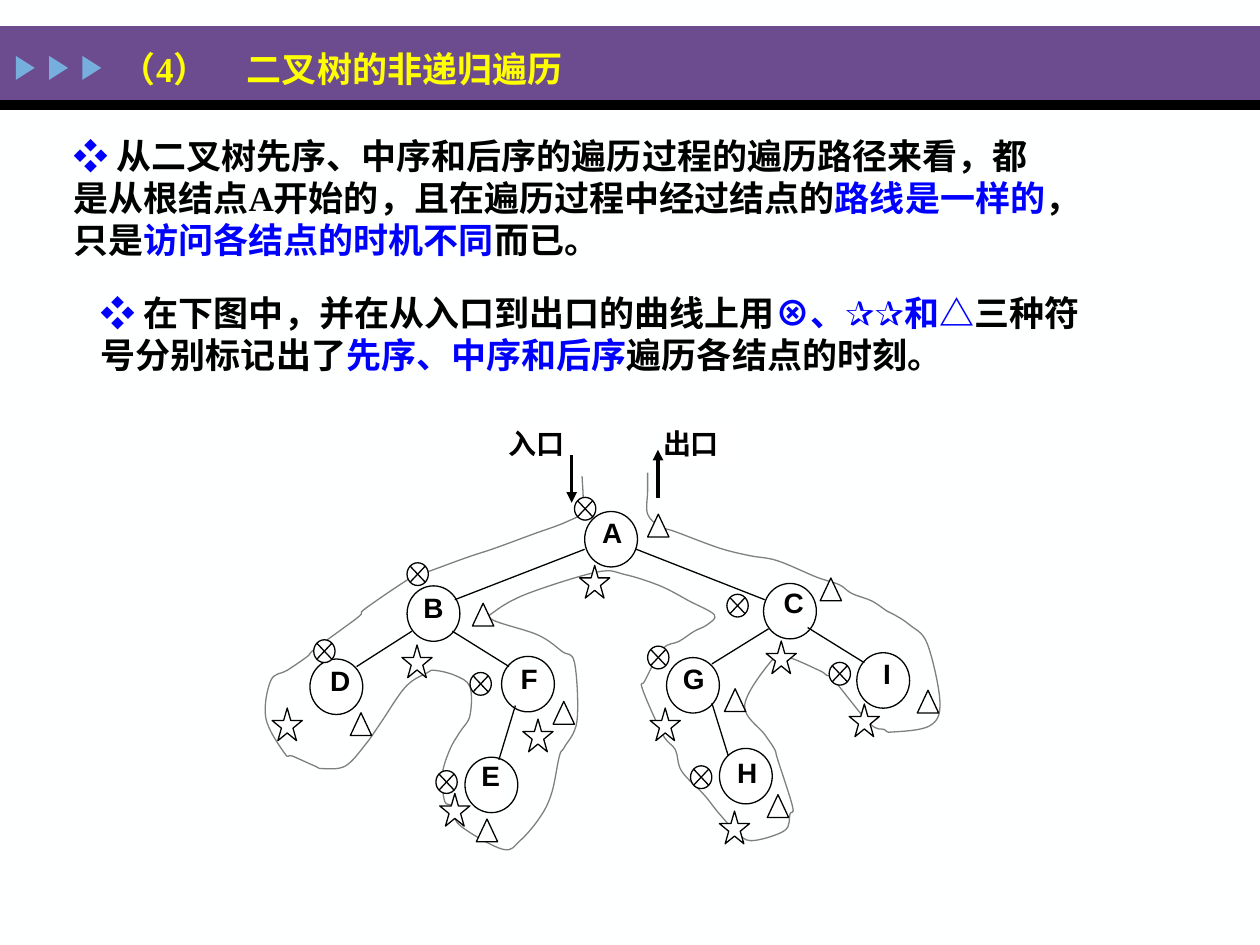
from lxml import etree
from pptx import Presentation
from pptx.dml.color import RGBColor
from pptx.enum.shapes import MSO_CONNECTOR, MSO_SHAPE
from pptx.enum.text import MSO_ANCHOR, MSO_AUTO_SIZE, PP_ALIGN
from pptx.oxml.ns import qn
from pptx.util import Pt

RECTANGLE = MSO_SHAPE.RECTANGLE
OVAL = MSO_SHAPE.OVAL
TRIANGLE = MSO_SHAPE.ISOSCELES_TRIANGLE
STAR = MSO_SHAPE.STAR_5_POINT
CROSSED_CIRCLE = MSO_SHAPE.FLOWCHART_SUMMING_JUNCTION
STRAIGHT = MSO_CONNECTOR.STRAIGHT
LEFT, CENTER, JUSTIFY = PP_ALIGN.LEFT, PP_ALIGN.CENTER, PP_ALIGN.JUSTIFY
TOP, MIDDLE = MSO_ANCHOR.TOP, MSO_ANCHOR.MIDDLE

SERIF, SANS, CHINESE = "Times New Roman", "Arial", "Noto Sans CJK SC"
COLORS = {
    "background": "FEFFFF", "band": "6C4C8F", "black": "000000", "chevron": "76AEDD",
    "title": "FFFF00", "accent": "0000FF", "white": "FFFFFF", "trace": "7F7F7F",
}

PATH_RUNS = [
    ("❖ ", "accent"),
    ("从二叉树先序、中序和后序的遍历过程的遍历路径来看，都是从根结点A开始的，且在遍历过程中经过结点的", "black"),
    ("路线是一样的", "accent"), ("，只是", "black"),
    ("访问各结点的时机不同", "accent"), ("而已。", "black"),
]
SYMBOL_RUNS = [
    ("❖ ", "accent"), ("在下图中，并在从入口到出口的曲线上用", "black"),
    ("⊗、✰✰和△", "accent"), ("三种符号分别标记出了", "black"),
    ("先序、中序和后序", "accent"), ("遍历各结点的时刻。", "black"),
]

NODE_WIDTH, NODE_HEIGHT = 30.2, 31.7
OPEN_NODES = [
    ("E", (265.7, 432.7), (272.9, 437, 15.1, 23.8)),
    ("F", (286.6, 375.1), (293.8, 381.6, 17.3, 23.8)),
    ("C", (436.3, 333.4), (446.4, 338.4, 14.4, 20.9)),
    ("B", (232.6, 334.8), (236.9, 341.3, 21.6, 23.8)),
    ("D", (177.1, 376.6), (185.8, 383, 17.3, 27.4)),
]
FILLED_NODES = [
    ("H", (411.1, 427.7), (419.8, 435.6, 14.4, 15.8)),
    ("G", (380.9, 375.8), (388.8, 381.6, 15.1, 20.2)),
    ("I", (489.6, 373), (499.7, 378.7, 14.4, 15.8)),
    ("A", (334.1, 292.3), (342.7, 298.1, 14.4, 15.8)),
]
EDGES = [
    (334.1, 313.9, 259.9, 342.7), (363.6, 313.9, 437, 342.7),
    (235.4, 360.7, 203.8, 380.9), (258.5, 360.7, 290.9, 380.9),
    (439.2, 359.3, 406.8, 379.4), (461.5, 358.6, 493.9, 378.7),
    (294.5, 403.2, 285.1, 434.2), (406.8, 401.8, 416.2, 432),
]
VISIT_MARKS = [
    (CROSSED_CIRCLE, 12.2, 13, [
        (328.3, 284.2), (232.6, 321.6), (179.3, 365.6), (268.6, 384.3), (249.1, 440.4),
        (415.4, 339.6), (370.1, 369.2), (394.6, 437.6), (473.8, 378.5)]),
    (TRIANGLE, 12.2, 13, [
        (200.2, 407.3), (272.2, 468), (316.1, 400.8), (270, 344.7), (438.5, 454.1),
        (414, 393.6), (524.2, 394.4), (468.7, 330.3), (370.1, 293.8)]),
    (STAR, 17.3, 18.7, [
        (251.3, 453.4), (155.5, 404.6), (229.7, 368.6), (298.8, 410.9), (331.2, 323.1),
        (371.5, 404.6), (411.1, 463.5), (437.8, 366.3), (485.3, 402.3)]),
]

TRACE_STEP = 0.72
TRACE = [
    (462, 378), (462, 405), (450, 414), (423, 424), (393, 435), (369, 443), (339, 454),
    (327, 458), (290, 483), (284, 490), (250, 515), (244, 521), (228, 532), (215, 540),
    (211, 570), (226, 598), (232, 600), (250, 608), (256, 610), (274, 608), (290, 591),
    (302, 574), (322, 545), (339, 534), (345, 532), (361, 536), (373, 545), (373, 568),
    (365, 581), (357, 595), (351, 615), (353, 636), (359, 640), (365, 655), (399, 674),
    (413, 667), (429, 648), (438, 629), (444, 600), (448, 593), (458, 572), (456, 526),
    (446, 517), (427, 504), (391, 492), (393, 485), (419, 471), (474, 454), (496, 456),
    (524, 465), (547, 477), (567, 488), (561, 496), (551, 501), (539, 509), (526, 515),
    (512, 540), (510, 547), (526, 583), (536, 595), (541, 612), (559, 631), (571, 646),
    (587, 663), (599, 667), (623, 659), (627, 646), (629, 640), (617, 602), (615, 595),
    (607, 583), (591, 560), (611, 526), (623, 521), (650, 532), (656, 536), (662, 540),
    (690, 574), (702, 579), (708, 581), (738, 576), (746, 557), (736, 511), (722, 496),
    (710, 488), (704, 485), (692, 477), (676, 471), (666, 464), (648, 458), (617, 445),
    (595, 441), (571, 435), (536, 422), (524, 418), (514, 408), (514, 390), (514, 375),
]


def color(name):
    return RGBColor.from_string(COLORS[name])


def write_text(shape, runs, size=20, font=SERIF, align=LEFT, anchor=TOP, inset=None, spacing=1.0):
    frame = shape.text_frame
    frame.word_wrap = True
    frame.auto_size = MSO_AUTO_SIZE.NONE
    frame.vertical_anchor = anchor
    if inset is not None:
        frame.margin_left = frame.margin_top = frame.margin_right = frame.margin_bottom = Pt(inset)
    paragraph = frame.paragraphs[0]
    paragraph.alignment = align
    paragraph.space_before = Pt(0)
    paragraph.line_spacing = spacing
    for text, color_name in runs:
        run = paragraph.add_run()
        run.text = text
        run.font.size = Pt(size)
        run.font.bold = True
        run.font.name = font
        run.font.color.rgb = color(color_name)
        east_asian = etree.SubElement(run.font._element, qn("a:ea"))
        east_asian.set("typeface", CHINESE)
    return paragraph


def fill_placeholder(shape, box, runs):
    shape.left, shape.top, shape.width, shape.height = map(Pt, box)
    paragraph = write_text(shape, runs)
    properties = paragraph._p.get_or_add_pPr()
    properties.set("marL", "0")
    properties.set("indent", "0")
    etree.SubElement(properties, qn("a:buNone"))


def style_shape(shape, fill=None, line=None):
    shape.shadow.inherit = False
    if fill:
        shape.fill.solid()
        shape.fill.fore_color.rgb = color(fill)
    else:
        shape.fill.background()
    if line:
        shape.line.color.rgb = color(line)
        shape.line.width = Pt(0.75)
    else:
        shape.line.fill.background()


def add_block(slide, kind, left, top, width, height, fill="white", line=None):
    shape = slide.shapes.add_shape(kind, Pt(left), Pt(top), Pt(width), Pt(height))
    style_shape(shape, fill, line)
    return shape


def add_line(slide, start_x, start_y, end_x, end_y, width=0.75, arrow=False):
    connector = slide.shapes.add_connector(STRAIGHT, Pt(start_x), Pt(start_y), Pt(end_x), Pt(end_y))
    connector.line.color.rgb = color("black")
    connector.line.width = Pt(width)
    if arrow:
        etree.SubElement(connector.line._get_or_add_ln(), qn("a:tailEnd")).set("type", "triangle")
    etree.SubElement(connector._element.spPr, qn("a:effectLst"))


def round_corners(shape):
    outline = next(shape._element.iter(qn("a:path")))
    points = [(int(p.get("x")), int(p.get("y"))) for p in outline.iter(qn("a:pt"))]
    padded = [points[0], *points, points[-1]]
    for index, segment in enumerate(outline.findall(qn("a:lnTo"))):
        before, start, end, after = padded[index:index + 4]
        controls = [
            [s + (e - b) / 6 for b, s, e in zip(before, start, end)],
            [e - (a - s) / 6 for s, e, a in zip(start, end, after)],
        ]
        curve = etree.Element(qn("a:cubicBezTo"))
        for x, y in (*controls, end):
            etree.SubElement(curve, qn("a:pt"), x=str(round(x)), y=str(round(y)))
        outline.replace(segment, curve)


def add_trace(slide):
    units = 100 * TRACE_STEP
    points = [(x * units, y * units) for x, y in TRACE]
    builder = slide.shapes.build_freeform(*points[0], scale=Pt(0.01))
    builder.add_line_segments(points[1:], close=False)
    shape = builder.convert_to_shape()
    round_corners(shape)
    style_shape(shape, line="trace")


def add_circle(slide, position, fill):
    add_block(slide, OVAL, *position, NODE_WIDTH, NODE_HEIGHT, fill=fill, line="black")


def add_label(slide, text, box, **text_format):
    label = add_block(slide, RECTANGLE, *box)
    write_text(label, [(text, "black")], size=16, inset=0, **text_format)


def add_nodes(slide):
    letter_format = {"font": SANS, "align": CENTER, "spacing": 0.8}
    for name, position, label_box in OPEN_NODES:
        add_label(slide, name, label_box, **letter_format)
        add_circle(slide, position, None)
    for name, position, label_box in FILLED_NODES:
        add_circle(slide, position, "white")
        add_label(slide, name, label_box, **letter_format)


def add_header(slide):
    add_block(slide, RECTANGLE, 0, 14.9, 720, 42.5, "band")
    add_block(slide, RECTANGLE, 0, 57.3, 720, 5.5, "black")
    for index in range(3):
        chevron = add_block(slide, TRIANGLE, 7.6 + 19 * index, 33.4, 13.7, 10.8, "chevron")
        chevron.rotation = 90


def main():
    presentation = Presentation()
    presentation.slide_width, presentation.slide_height = Pt(720), Pt(540)
    slide = presentation.slides.add_slide(presentation.slide_layouts.get_by_name("Two Content"))
    slide.background.fill.solid()
    slide.background.fill.fore_color.rgb = color("background")
    title, path_text, symbol_text = list(slide.placeholders)
    add_header(slide)
    for shape in (title, path_text, symbol_text):
        slide.shapes._spTree.append(shape._element)
    fill_placeholder(title, (61.9, 23.8, 275, 31.7), [("（4）\t二叉树的非递归遍历", "title")])
    fill_placeholder(path_text, (34.6, 73.4, 579.6, 79.9), PATH_RUNS)
    fill_placeholder(symbol_text, (50.4, 163, 584.6, 55.4), SYMBOL_RUNS)

    for text, left in (("出口", 378.9), ("入口", 290.7)):
        add_label(slide, text, (left, 243, 41.8, 20.9), font=CHINESE, align=JUSTIFY, anchor=MIDDLE)
    add_trace(slide)
    add_nodes(slide)
    for edge in EDGES:
        add_line(slide, *edge)
    for kind, width, height, positions in VISIT_MARKS:
        for left, top in positions:
            add_block(slide, kind, left, top, width, height, line="black")
    add_line(slide, 326.7, 259.9, 326.7, 287.3, width=2, arrow=True)
    add_line(slide, 376, 284.4, 376, 257, width=2, arrow=True)
    presentation.save("out.pptx")


if __name__ == "__main__":
    main()
